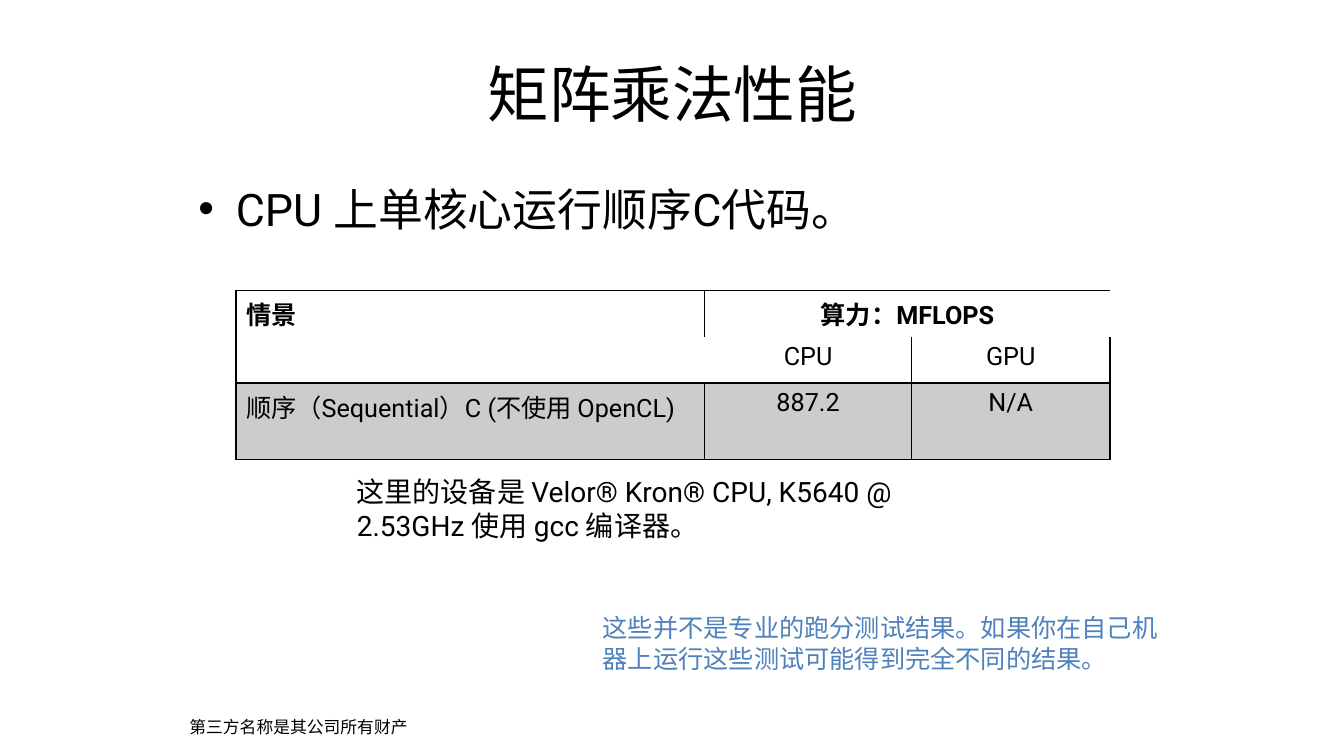
from pptx import Presentation
from pptx.dml.color import RGBColor
from pptx.enum.text import MSO_ANCHOR, PP_ALIGN
from pptx.oxml.ns import qn
from pptx.util import Inches, Pt
from lxml.etree import SubElement


def style(p, size, color="000000", bold=False, align=PP_ALIGN.LEFT):
    p.alignment = align
    for r in p.runs:
        r.font.name = "Roboto"
        r.font.size = Pt(size)
        r.font.bold = bold
        r.font.color.rgb = RGBColor.from_string(color)


def add_text(s, box, text, size, color="000000", align=PP_ALIGN.LEFT):
    tf = s.shapes.add_textbox(*[Inches(v) for v in box]).text_frame
    tf.word_wrap = True
    tf.text = text
    style(tf.paragraphs[0], size, color, align=align)
    return tf


prs = Presentation()
prs.slide_width, prs.slide_height = Inches(13.33), Inches(7.5)
s = prs.slides.add_slide(prs.slide_layouts[6])

# Title
tf = add_text(s, (2.17, 0.3, 9, 1.25), "矩阵乘法性能", 44, align=PP_ALIGN.CENTER)
tf.vertical_anchor = MSO_ANCHOR.MIDDLE

# Bullet
tf = add_text(s, (1.86, 1.75, 9.61, 0.9), "CPU 上单核心运行顺序C代码。", 32)
pPr = tf.paragraphs[0]._p.get_or_add_pPr()
pPr.set("marL", str(Inches(0.38)))
pPr.set("indent", str(Inches(-0.37)))
SubElement(pPr, qn("a:buFont"), typeface="Arial")
SubElement(pPr, qn("a:buChar"), char="•")

# Performance table: text and drawn edges of each cell
rows = [
    [("情景", "LRT"), ("算力：MFLOPS", "LT"), ("", "RT")],
    [("", "LB"), ("CPU", "RB"), ("GPU", "LRB")],
    [("顺序（Sequential）C (不使用 OpenCL)", "LRTB"), ("887.2", "LRTB"), ("N/A", "LRTB")],
]
table = s.shapes.add_table(3, 3, Inches(2.34), Inches(2.88), Inches(8.67), Inches(1.68)).table
table.first_row = table.horz_banding = False
for col, width in zip(table.columns, (4.65, 2.05, 1.97)):
    col.width = Inches(width)
for row, height in zip(table.rows, (0.46, 0.46, 0.76)):
    row.height = Inches(height)
table.cell(0, 0).merge(table.cell(1, 0))
table.cell(0, 1).merge(table.cell(0, 2))

for i, row in enumerate(rows):
    for j, (text, edges) in enumerate(row):
        cell = table.cell(i, j)
        if text:
            cell.text = text
            align = PP_ALIGN.CENTER if j else PP_ALIGN.LEFT
            style(cell.text_frame.paragraphs[0], 18, bold=i == 0, align=align)
        tcPr = cell._tc.get_or_add_tcPr()
        for edge in "LRTB":
            ln = SubElement(tcPr, qn("a:ln" + edge), w=str(Pt(0.96)))
            if edge in edges:
                SubElement(SubElement(ln, qn("a:solidFill")), qn("a:srgbClr"), val="000000")
            else:
                SubElement(ln, qn("a:noFill"))
        if i == 2:
            cell.fill.solid()
            cell.fill.fore_color.rgb = RGBColor.from_string("000000")
            SubElement(tcPr.find(qn("a:solidFill"))[0], qn("a:alpha"), val="20000")
        else:
            cell.fill.background()

# Notes below the table
add_text(s, (3.44, 4.66, 6.22, 0.77),
         "这里的设备是 Velor® Kron® CPU, K5640 @ 2.53GHz 使用 gcc 编译器。", 20)
add_text(s, (1.78, 7.06, 5.32, 0.57), "第三方名称是其公司所有财产", 12)
add_text(s, (5.88, 6.03, 5.71, 1.6),
         "这些并不是专业的跑分测试结果。如果你在自己机器上运行这些测试可能得到完全不同的结果。",
         18, "4F81BD")

prs.save("out.pptx")
